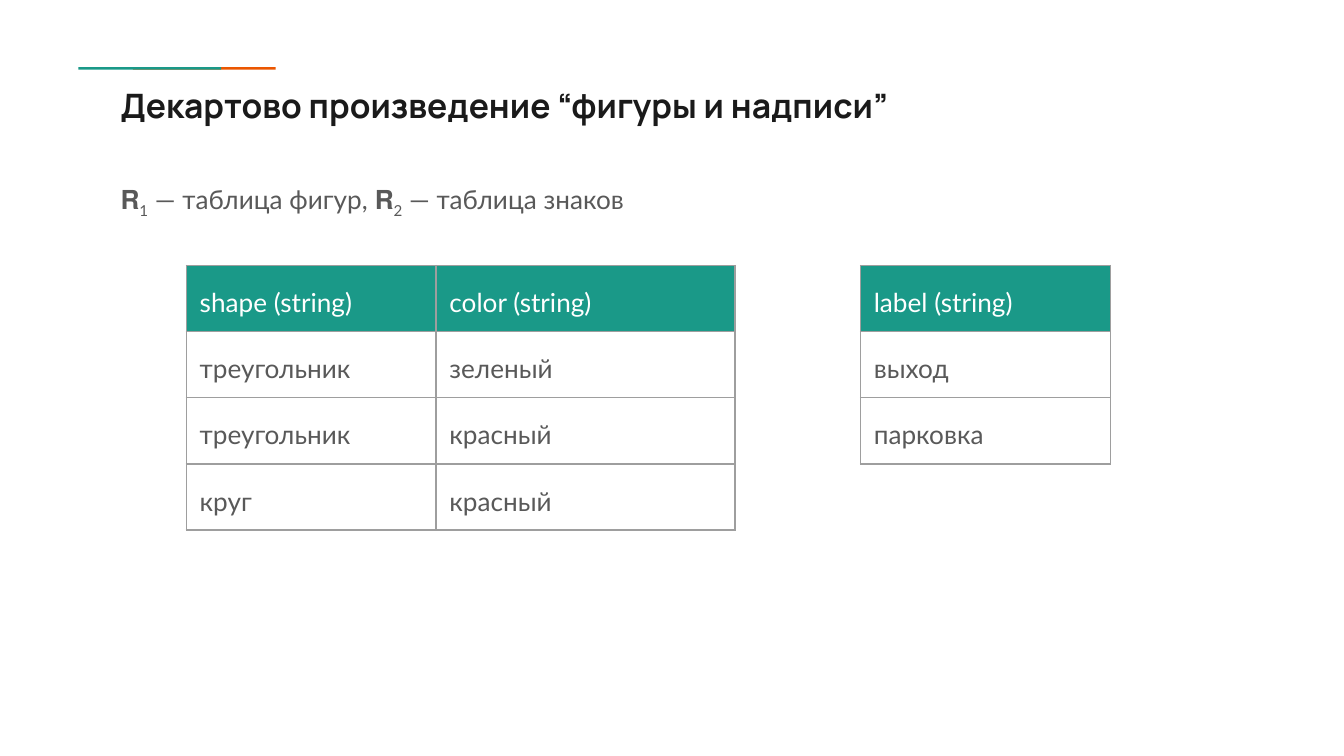
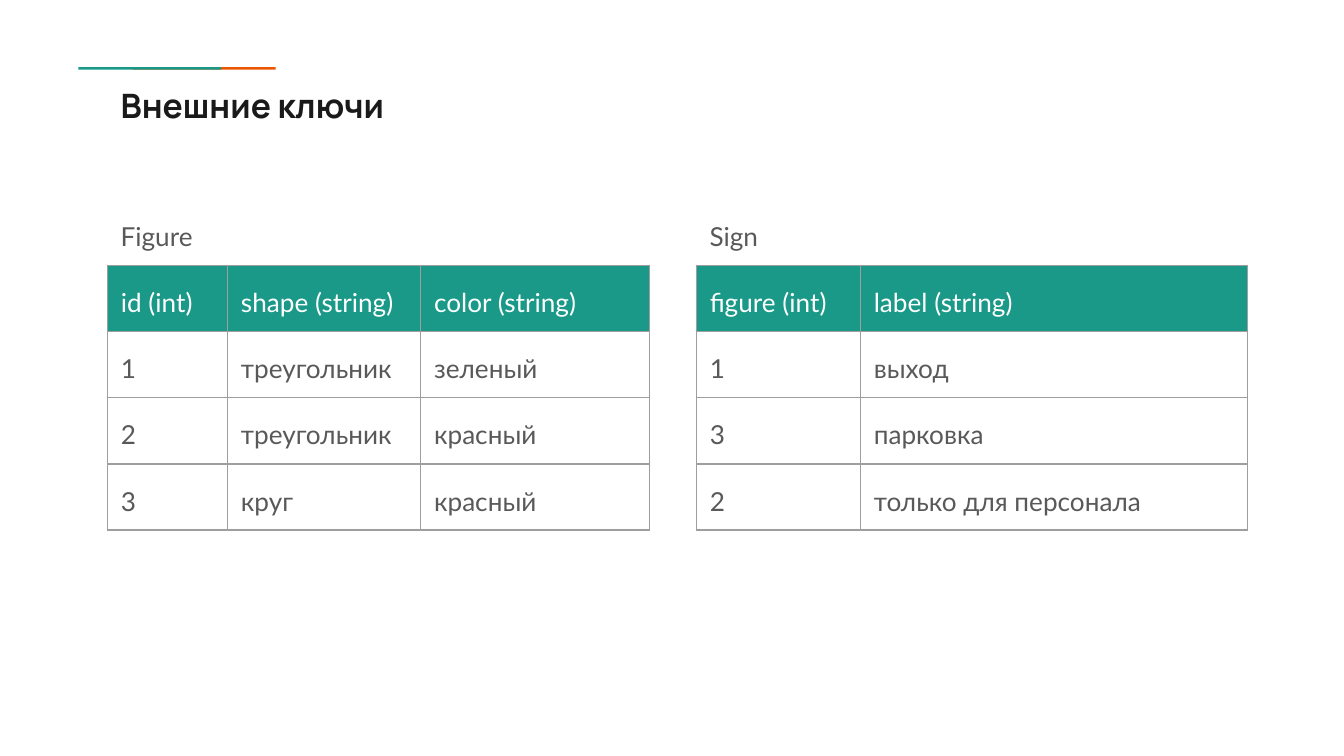
from lxml.etree import SubElement as Sub
from pptx import Presentation
from pptx.dml.color import RGBColor
from pptx.enum.shapes import MSO_SHAPE as Shape
from pptx.enum.text import MSO_ANCHOR as Anchor
from pptx.oxml.ns import qn
from pptx.util import Cm, Pt

TEAL = RGBColor(0x1A, 0x99, 0x88)
ORANGE = RGBColor(0xEB, 0x56, 0x00)
INK = RGBColor(0x1A, 0x1A, 0x1A)
GRAY = RGBColor(0x59, 0x59, 0x59)
WHITE = RGBColor(0xFF, 0xFF, 0xFF)
RULE = RGBColor(0x9E, 0x9E, 0x9E)

LEFT = 2.03
WIDE = 21.36
PAD = Cm(2.54) // 10
TOP = 5.02
ROW = 1.07


class Deck:
    def __init__(self):
        self.prs = Presentation()
        self.prs.slide_width = Cm(25.4)
        self.prs.slide_height = Cm(14.29)
        self.slide = None

    def page(self, title):
        self.slide = self.prs.slides.add_slide(self.prs.slide_layouts[6])
        self.band(2.51, ORANGE)
        self.band(1.48, TEAL)
        para = self.box(LEFT, 1.35, WIDE, 1.27)
        para.text = title
        self.style(para, INK, "Manrope", 18, True)

    def band(self, left, color):
        bar = self.slide.shapes.add_shape(
            Shape.RECTANGLE, Cm(left), Cm(1.27), Cm(2.7), Cm(0.05))
        bar.shadow.inherit = False
        bar.fill.solid()
        bar.fill.fore_color.rgb = color
        bar.line.fill.background()

    def box(self, left, top, width, height, anchor=Anchor.TOP):
        box = self.slide.shapes.add_textbox(
            Cm(left), Cm(top), Cm(width), Cm(height))
        self.inset(box.text_frame)
        box.text_frame.word_wrap = True
        box.text_frame.vertical_anchor = anchor
        return box.text_frame.paragraphs[0]

    def inset(self, item):
        item.margin_left = item.margin_right = PAD
        item.margin_top = item.margin_bottom = PAD

    def style(self, para, color=GRAY, face="Lato", size=14, bold=False):
        for run in para.runs:
            font = run.font
            font.name, font.size, font.bold = face, Pt(size), bold
            font.color.rgb = color

    def body(self, parts):
        para = self.box(LEFT, 3.05, WIDE, 10.16)
        para.line_spacing = 1.25
        para.space_after = Pt(8)
        for text in parts:
            run = para.add_run()
            run.text = text
            if text.isdigit():
                run.font._element.set("baseline", "-25000")
        self.style(para)

    def label(self, left, text):
        para = self.box(left, 3.76, 7.32, 1.27, Anchor.MIDDLE)
        para.text = text
        para.line_spacing = 1.25
        self.style(para)

    def table(self, left, widths, rows):
        grid = self.slide.shapes.add_table(
            len(rows), len(widths), Cm(left), Cm(TOP),
            Cm(sum(widths)), Cm(ROW * len(rows))).table
        grid.first_row = grid.horz_banding = False
        for col, width in zip(grid.columns, widths):
            col.width = Cm(width)
        for r, texts in enumerate(rows):
            grid.rows[r].height = Cm(ROW)
            for c, text in enumerate(texts):
                self.cell(grid.cell(r, c), text, r == 0)

    def cell(self, cell, text, head):
        self.inset(cell)
        cell.vertical_anchor = Anchor.MIDDLE
        self.border(cell)
        if head:
            cell.fill.solid()
            cell.fill.fore_color.rgb = TEAL
        else:
            cell.fill.background()
        para = cell.text_frame.paragraphs[0]
        para.text = text
        para.line_spacing = 1.25
        self.style(para, WHITE if head else GRAY)

    def border(self, cell):
        props = cell._tc.get_or_add_tcPr()
        for side in "LRTB":
            line = Sub(props, qn(f"a:ln{side}"), w=str(Pt(0.75)))
            fill = Sub(line, qn("a:solidFill"))
            Sub(fill, qn("a:srgbClr"), val=str(RULE))


def main():
    deck = Deck()
    heads = ("shape (string)", "color (string)")
    forms = [("треугольник", "зеленый"),
             ("треугольник", "красный"),
             ("круг", "красный")]

    deck.page("Декартово произведение “фигуры и надписи”")
    deck.body(["𝐑", "1", " — таблица фигур, 𝐑", "2", " — таблица знаков"])
    deck.table(3.52, [4.72, 5.65], [heads, *forms])
    deck.table(16.26, [4.73], [["label (string)"], ["выход"], ["парковка"]])

    deck.page("Внешние ключи")
    keyed = [(str(n), *form) for n, form in enumerate(forms, 1)]
    signs = [("figure (int)", "label (string)"),
             ("1", "выход"),
             ("3", "парковка"),
             ("2", "только для персонала")]
    right = 13.16
    deck.table(LEFT, [2.27, 3.65, 4.33], [("id (int)", *heads), *keyed])
    deck.table(right, [3.1, 7.32], signs)
    deck.label(LEFT, "Figure")
    deck.label(right, "Sign")

    deck.prs.save("out.pptx")


if __name__ == "__main__":
    main()
